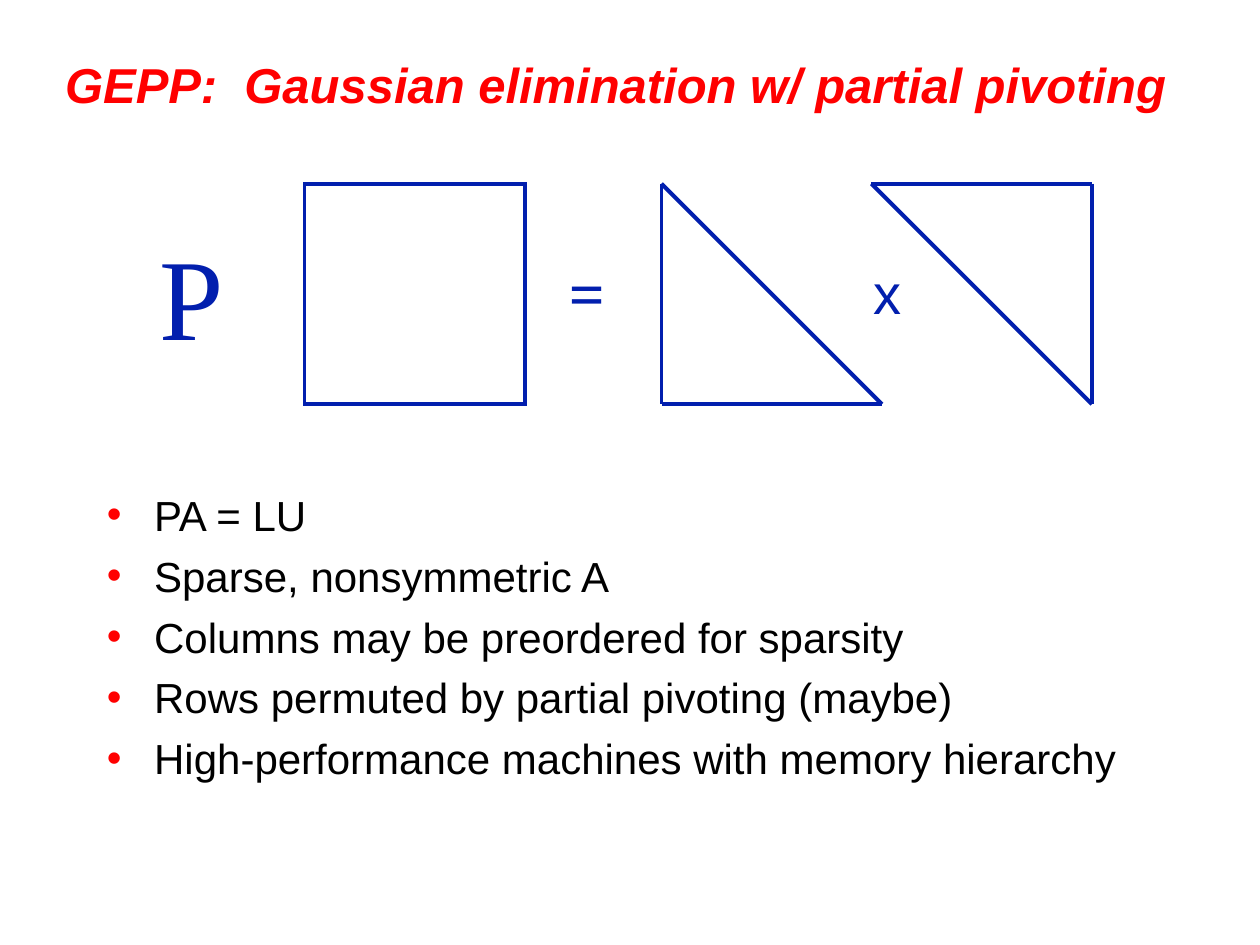
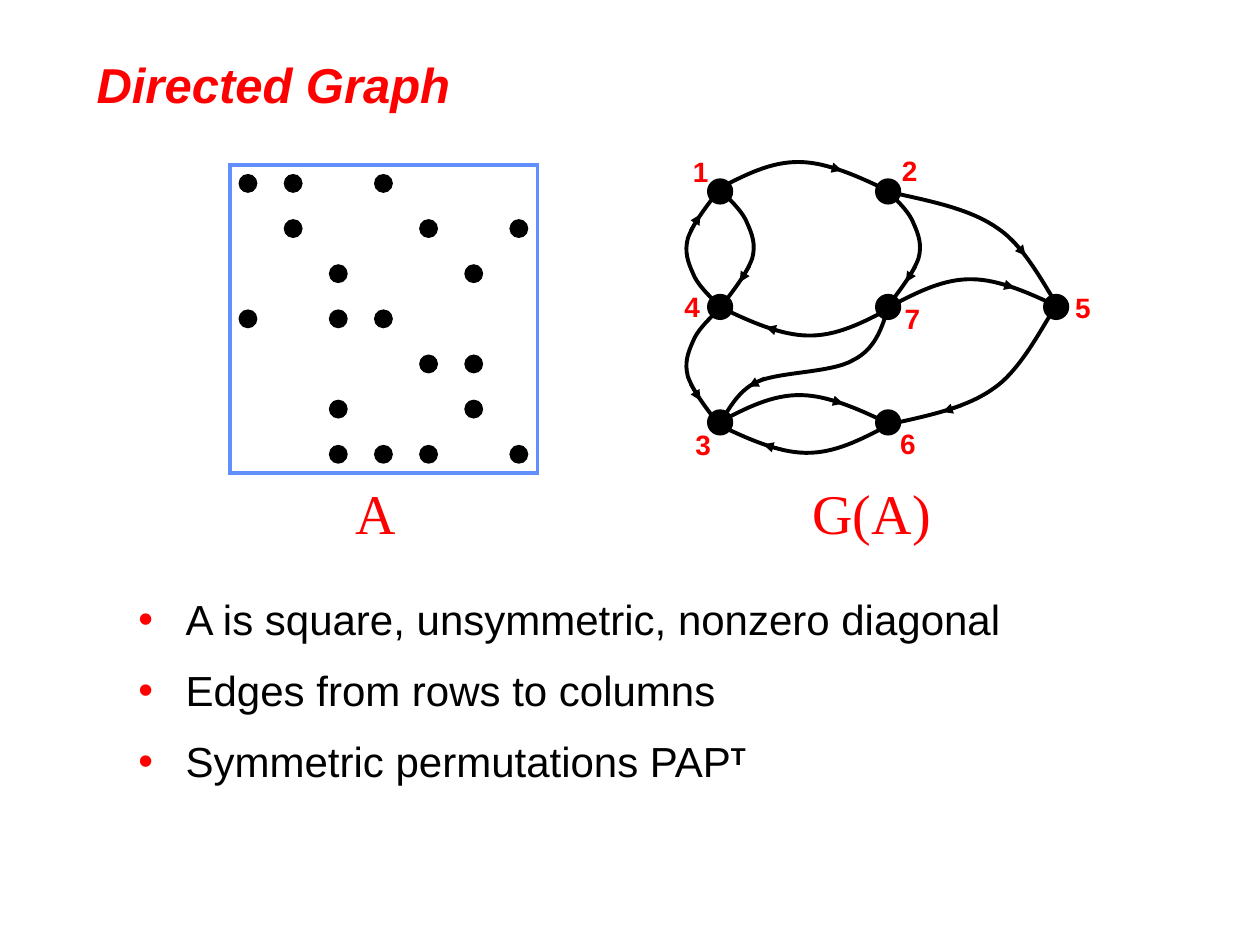
from lxml.etree import SubElement
from pptx import Presentation
from pptx.dml.color import RGBColor
from pptx.enum.shapes import MSO_CONNECTOR, MSO_SHAPE
from pptx.enum.text import MSO_ANCHOR, MSO_AUTO_SIZE, PP_ALIGN
from pptx.oxml.ns import qn
from pptx.util import Pt

RED = RGBColor(0xFF, 0x00, 0x00)
BLACK = RGBColor(0x00, 0x00, 0x00)
NAVY = RGBColor(0x02, 0x1F, 0xAE)
SKY = RGBColor(0x61, 0x8F, 0xFD)
SANS, SERIF = "Arial", "Times New Roman"
OUTLINE, ARROW = 2.25, 1.75


def add_label(slide, text, left, top, width, height, size, font, color, bold=False):
    box = slide.shapes.add_textbox(Pt(left), Pt(top), Pt(width), Pt(height))
    box.text_frame.word_wrap = False
    span = box.text_frame.paragraphs[0].add_run()
    span.text = text
    span.font.size, span.font.name, span.font.bold = Pt(size), font, bold
    span.font.color.rgb = color


def add_line(slide, start, end, color, width, arrow=False):
    line = slide.shapes.add_connector(
        MSO_CONNECTOR.STRAIGHT, *[Pt(length) for length in (*start, *end)])
    line.line.color.rgb = color
    line.line.width = Pt(width)
    if arrow:
        SubElement(line.line._get_or_add_ln(), qn("a:tailEnd"), type="triangle")
    SubElement(line._element.spPr, qn("a:effectLst"))


deck = Presentation()
deck.slide_width, deck.slide_height = Pt(720), Pt(540)

# Titles, bullets and framed matrices; each bullet is a list of (text, superscript)
outlines = [
    {"title": "GEPP:  Gaussian elimination w/ partial pivoting",
     "title_area": (30, 24, 654, 48),
     "body_area": (54, 276, 648, 204), "spacing": 1.0,
     "bullets": [[("PA = LU", False)],
                 [("Sparse, nonsymmetric A", False)],
                 [("Columns may be preordered for sparsity", False)],
                 [("Rows permuted by partial pivoting (maybe)", False)],
                 [("High-performance machines with memory hierarchy", False)]],
     "matrix": (174, 105, 126, NAVY)},
    {"title": "Directed Graph",
     "title_area": (48, 24, 590, 48),
     "body_area": (72, 330, 576, 150), "spacing": 1.2,
     "bullets": [[("A is square, unsymmetric, nonzero diagonal", False)],
                 [("Edges from rows to columns", False)],
                 [("Symmetric permutations PAP", False), ("T", True)]],
     "matrix": (131.2, 94.3, 176, SKY)},
]
for outline in outlines:
    page = deck.slides.add_slide(deck.slide_layouts[5])
    title = page.shapes.title
    title.left, title.top, title.width, title.height = map(Pt, outline["title_area"])
    title.text_frame.auto_size = MSO_AUTO_SIZE.NONE
    title.text_frame.vertical_anchor = MSO_ANCHOR.MIDDLE
    para = title.text_frame.paragraphs[0]
    para.alignment = PP_ALIGN.LEFT
    span = para.add_run()
    span.text = outline["title"]
    span.font.size, span.font.name = Pt(28), SANS
    span.font.bold = span.font.italic = True
    span.font.color.rgb = RED

    body = page.shapes.add_textbox(*map(Pt, outline["body_area"])).text_frame
    body.word_wrap = True
    for number, bullet in enumerate(outline["bullets"]):
        para = body.add_paragraph() if number else body.paragraphs[0]
        para.line_spacing = outline["spacing"]
        para.space_before = Pt(6)
        properties = para._p.get_or_add_pPr()
        properties.set("marL", str(Pt(27)))
        properties.set("indent", str(Pt(-27)))
        bullet_color = SubElement(properties, qn("a:buClr"))
        SubElement(bullet_color, qn("a:srgbClr"), val=str(RED))
        SubElement(properties, qn("a:buFont"), typeface=SANS)
        SubElement(properties, qn("a:buChar"), char="•")
        for text, superscript in bullet:
            span = para.add_run()
            span.text = text
            span.font.size, span.font.name = Pt(24), SANS
            span.font.color.rgb = BLACK
            if superscript:
                span.font.bold = True
                span._r.get_or_add_rPr().set("baseline", "30000")

    left, top, side, color = outline["matrix"]
    frame = page.shapes.add_shape(
        MSO_SHAPE.RECTANGLE, Pt(left), Pt(top), Pt(side), Pt(side))
    frame.shadow.inherit = False
    frame.fill.background()
    frame.line.color.rgb = color
    frame.line.width = Pt(OUTLINE)
    SubElement(frame.line._get_or_add_ln(), qn("a:miter"), lim="800000")

factor_page, graph_page = deck.slides

# Slide 1: P times the square equals a lower times an upper triangle
top, side = 105, 126
bottom = top + side
lower_left, upper_left = 378, 498
lower = [(lower_left, top), (lower_left, bottom), (lower_left + side, bottom)]
upper = [(upper_left, top), (upper_left + side, top), (upper_left + side, bottom)]
for corners in (lower, upper):
    for start, end in zip(corners, corners[1:] + corners[:1]):
        add_line(factor_page, start, end, NAVY, OUTLINE)
add_label(factor_page, "=", 318, 141.5, 35, 50, 36, SERIF, NAVY, bold=True)
add_label(factor_page, "x", 492, 144, 30, 46, 32, SANS, NAVY)
add_label(factor_page, "P", 84, 125, 51, 86, 66, SERIF, NAVY)

# Slide 2: nonzeros of A (columns by row) and the nodes of its graph
nonzero_columns = [(1, 2, 4), (2, 5, 7), (3, 6), (1, 3, 4), (5, 6), (3, 6), (3, 4, 5, 7)]
dots = [(141.7 + 25.8 * (column - 1), 104.8 + 25.8 * row, 10.8)
        for row, columns in enumerate(nonzero_columns) for column in columns]
node_cells = [(0, 0), (1, 0), (0, 2), (0, 1), (2, 1), (1, 2), (1, 1)]
dots += [(411.5 + 96 * column, 109.4 + 66 * row, 15) for column, row in node_cells]
for x, y, size in dots:
    dot = graph_page.shapes.add_shape(
        MSO_SHAPE.OVAL, Pt(x - size / 2), Pt(y - size / 2), Pt(size), Pt(size))
    dot.shadow.inherit = False
    dot.fill.solid()
    dot.fill.fore_color.rgb = BLACK
    dot.line.fill.background()

label_corners = [(388.8, 84.6), (508.3, 84.2), (390.3, 240.8), (384, 162),
                 (607.2, 162.7), (507.2, 240.1), (509.8, 168.8)]
for number, (left, top) in enumerate(label_corners, start=1):
    add_label(graph_page, str(number), left, top, 23, 26.6, 16, SANS, RED, bold=True)

# Edge forms: Bézier points relative to the first point, then an arrow along them
arc = [(0, 0), (15.1, -7.9), (30.2, -15.8), (46.8, -15.4),
       (62.6, -15.1), (79.9, -7.2), (96.5, 0.7)]
bow = [(0, 0), (5.8, 5.8), (11.5, 11.5), (13.7, 17.3), (16.6, 23.8),
       (18.7, 29.5), (16.6, 37.4), (13.7, 45.4), (7.2, 54), (0, 63.4)]
wave = [(0, 0), (3.6, -3.6), (8.6, -16.6), (20.9, -22.3), (33.8, -28.1),
        (63.4, -27.4), (75.6, -34.6), (88.6, -41), (92.2, -53.3), (95.8, -64.8)]
sweep = [(0, 0), (-5.8, 7.9), (-18.7, 34.6), (-34.6, 45.4),
         (-50.4, 56.9), (-72.7, 61.2), (-95, 66.2)]
arc_arrow = [(60.2, -13.5), (70.8, -10.6)]
bow_arrow = [(15.1, 41.8), (9.4, 51.1)]

# Form, arrow, first point, horizontal and vertical direction
edges = [
    (arc, arc_arrow, (410.4, 108), 1, 1),          # 1 to 2
    (arc, arc_arrow, (509, 175), 1, 1),            # 7 to 5
    (arc, arc_arrow, (411.1, 241.2), 1, 1),        # 3 to 6
    (arc, arc_arrow, (506.9, 243.4), -1, -1),      # 6 to 3
    (arc, arc_arrow, (508.3, 176.4), -1, -1),      # 7 to 4
    (bow, bow_arrow, (409.7, 173.5), -1, -1),      # 4 to 1
    (bow, bow_arrow, (409.7, 177.8), -1, 1),       # 4 to 3
    (bow, bow_arrow, (413.3, 110.2), 1, 1),        # 1 to 4
    (bow, bow_arrow, (508.3, 110.2), 1, 1),        # 2 to 7
    (wave, [(25.2, -24.5), (15.8, -19.4)], (411.8, 240.5), 1, 1),       # 7 to 3
    (sweep, [(-53.3, 55.4), (-64.1, 59)], (602.6, 176.4), 1, 1),        # 5 to 6
    (sweep, [(-26.6, 38.9), (-19.4, 30.2)], (605.5, 176.4), 1, -1),     # 2 to 5
]
for form, arrow, (x, y), across, down in edges:
    builder = graph_page.shapes.build_freeform(Pt(x), Pt(y))
    builder.add_line_segments(
        [(Pt(x + across * dx), Pt(y + down * dy)) for dx, dy in form[1:]], close=False)
    curve = builder.convert_to_shape()
    # Every three line segments become one cubic Bézier segment
    outline = next(curve._element.iter(qn("a:path")))
    segments = outline.findall(qn("a:lnTo"))
    for first in range(0, len(segments), 3):
        bezier = SubElement(outline, qn("a:cubicBezTo"))
        for segment in segments[first:first + 3]:
            bezier.append(segment[0])
            outline.remove(segment)
    curve.shadow.inherit = False
    curve.fill.background()
    curve.line.color.rgb = BLACK
    curve.line.width = Pt(OUTLINE)
    start, end = [(x + across * dx, y + down * dy) for dx, dy in arrow]
    add_line(graph_page, start, end, BLACK, ARROW, arrow=True)

add_label(graph_page, "A", 195.8, 270, 37.4, 46, 32, SERIF, RED)
add_label(graph_page, "G(A)", 457.2, 270, 90, 46, 32, SERIF, RED)

deck.save("out.pptx")
